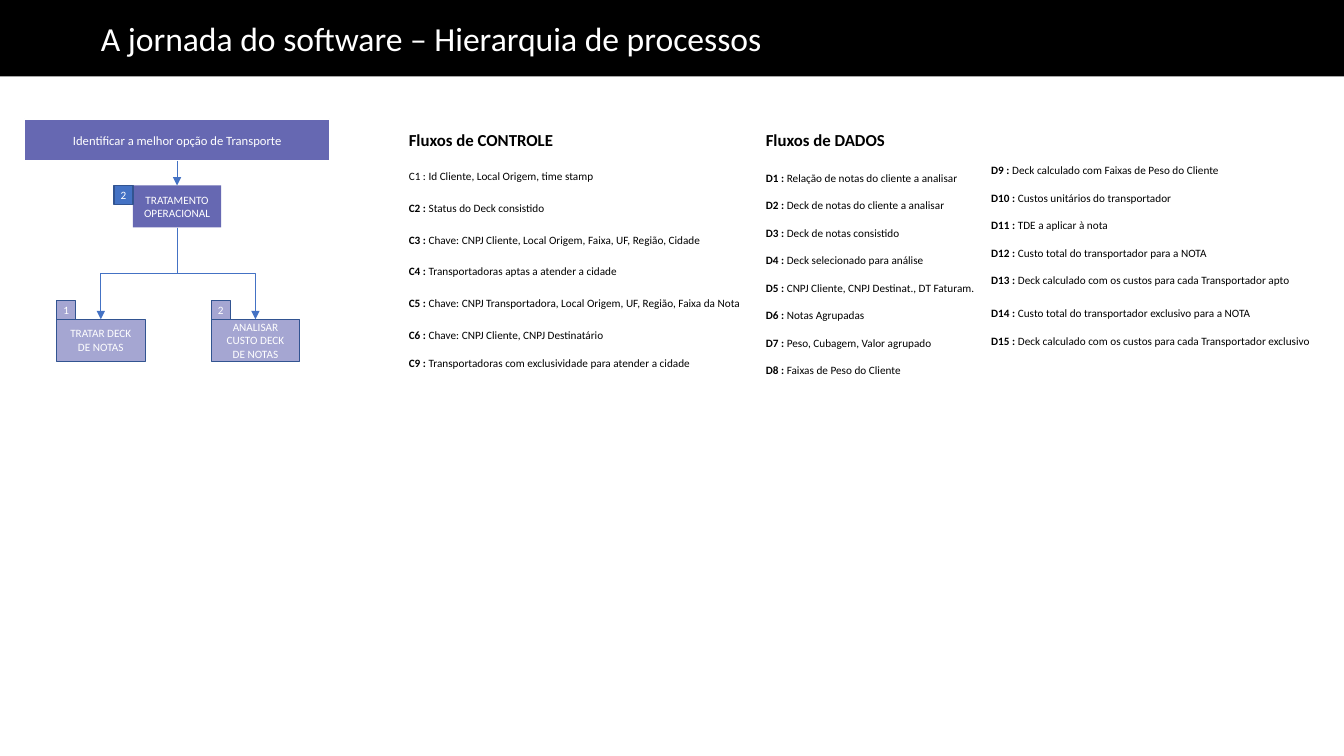
from dataclasses import dataclass

from lxml.etree import SubElement
from pptx import Presentation
from pptx.dml.color import RGBColor
from pptx.enum.shapes import MSO_CONNECTOR, MSO_SHAPE
from pptx.enum.text import MSO_ANCHOR, MSO_AUTO_SIZE, PP_ALIGN
from pptx.oxml.ns import qn
from pptx.util import Pt

HEADLINE = "A jornada do software – Hierarquia de processos"
CONTROL_FLOWS = [
    ("C1 :", "Id Cliente, Local Origem, time stamp"),
    ("C2 :", "Status do Deck consistido"),
    ("C3 :", "Chave: CNPJ Cliente, Local Origem, Faixa, UF, Região, Cidade"),
    ("C4 :", "Transportadoras aptas a atender a cidade"),
    ("C5 :", "Chave: CNPJ Transportadora, Local Origem, UF, Região, Faixa da Nota"),
    ("C6 :", "Chave: CNPJ Cliente, CNPJ Destinatário"),
    ("C9 :", "Transportadoras com exclusividade para atender a cidade"),
]
DATA_FLOWS = [
    ("D1 :", "Relação de notas do cliente a analisar"),
    ("D2 :", "Deck de notas do cliente a analisar"),
    ("D3 :", "Deck de notas consistido"),
    ("D4 :", "Deck selecionado para análise"),
    ("D5 :", "CNPJ Cliente, CNPJ Destinat., DT Faturam."),
    ("D6 :", "Notas Agrupadas"),
    ("D7 :", "Peso, Cubagem, Valor agrupado"),
    ("D8 :", "Faixas de Peso do Cliente"),
]
COST_FLOWS = [
    ("D9 :", "Deck calculado com Faixas de Peso do Cliente"),
    ("D10 :", "Custos unitários do transportador"),
    ("D11 :", "TDE a aplicar à nota"),
    ("D12 :", "Custo total do transportador para a NOTA"),
    ("D13 :", "Deck calculado com os custos para cada Transportador apto"),
    ("D14 :", "Custo total do transportador exclusivo para a NOTA"),
    ("D15 :", "Deck calculado com os custos para cada Transportador exclusivo"),
]
PLAIN_CODES = {"C1 :"}
SPECIAL_PITCH = {"C9 :": 20, "D14 :": 24}
GOAL = "Identificar a melhor opção de Transporte"
OPERATION = ("2", ["TRATAMENTO", "OPERACIONAL"])
STEPS = [("1", ["TRATAR DECK DE NOTAS"]), ("2", ["ANALISAR CUSTO DECK DE NOTAS"])]


@dataclass(frozen=True)
class Theme:
    font: str = "Calibri"
    black: str = "000000"
    white: str = "FFFFFF"
    violet: str = "6668B2"
    lilac: str = "A5A6D2"
    blue: str = "4472C4"
    navy: str = "325491"
    title: int = 24
    heading: int = 12
    goal: int = 9
    small: int = 8


THEME = Theme()
LINE_HEIGHT = 9.8
STEP_W, STEP_H, BADGE = 63, 30, 13.5
CENTER = 126.5


def color(value):
    return RGBColor.from_string(value)


def write(holder, paragraphs, size=THEME.small, ink=THEME.black, align=PP_ALIGN.LEFT,
          anchor=MSO_ANCHOR.TOP, insets=(0, 0), pitches=None):
    frame = holder.text_frame
    frame.word_wrap = True
    frame.auto_size = MSO_AUTO_SIZE.NONE
    frame.vertical_anchor = anchor
    frame.margin_left, frame.margin_right = (Pt(inset) for inset in insets)
    frame.margin_top = frame.margin_bottom = 0
    for index, runs in enumerate(paragraphs):
        paragraph = frame.paragraphs[0] if index == 0 else frame.add_paragraph()
        paragraph.alignment = align
        paragraph.space_before = Pt(pitches[index] - LINE_HEIGHT if pitches and index else 0)
        paragraph.space_after = Pt(0)
        properties = paragraph._p.get_or_add_pPr()
        properties.set("marL", "0")
        properties.set("indent", "0")
        SubElement(properties, qn("a:buNone"))
        for words, bold in runs:
            run = paragraph.add_run()
            run.text = words
            run.font.name, run.font.size, run.font.bold = THEME.font, Pt(size), bold
            run.font.color.rgb = color(ink)


def place(holder, left, top, width, height):
    holder.left, holder.top, holder.width, holder.height = map(Pt, (left, top, width, height))
    return holder


def list_flows(holder, flows, pitch):
    lines = [[(code, code not in PLAIN_CODES), (f" {words}", False)] for code, words in flows]
    write(holder, lines, pitches=[SPECIAL_PITCH.get(code, pitch) for code, _ in flows])


def add_box(shapes, left, top, width, height, lines, fill, border=None, weight=0.5,
            size=THEME.small, inset=0):
    box = shapes.add_shape(MSO_SHAPE.RECTANGLE, *map(Pt, (left, top, width, height)))
    box.shadow.inherit = False
    box.fill.solid()
    box.fill.fore_color.rgb = color(fill)
    if border:
        box.line.color.rgb = color(border)
        box.line.width = Pt(weight)
    else:
        box.line.fill.background()
    write(box, [[(line, False)] for line in lines], size=size, ink=THEME.white,
          align=PP_ALIGN.CENTER, anchor=MSO_ANCHOR.MIDDLE, insets=(inset, inset))
    return box


def link(shapes, parent, child):
    start_x, start_y = parent.left + parent.width // 2, parent.top + parent.height
    end_x, end_y = child.left + child.width // 2, child.top
    across, down = end_x - start_x, end_y - start_y
    kind = MSO_CONNECTOR.ELBOW if across else MSO_CONNECTOR.STRAIGHT
    arrow = shapes.add_connector(kind, start_x, start_y, end_x, end_y)
    arrow.begin_connect(parent, 2)
    arrow.end_connect(child, 0)
    properties = arrow._element.spPr
    if across:
        arrow.width, arrow.height = down, abs(across)
        arrow.left = (start_x + end_x - down) // 2
        arrow.top = (start_y + end_y - abs(across)) // 2
        frame = properties.find(qn("a:xfrm"))
        frame.set("rot", "16200000" if across > 0 else "5400000")
        frame.set("flipH", "1" if across > 0 else "0")
    arrow.line.color.rgb = color(THEME.blue)
    arrow.line.width = Pt(0.5)
    SubElement(properties.find(qn("a:ln")), qn("a:tailEnd"), type="triangle")
    SubElement(properties, qn("a:effectLst"))


def add_hierarchy(shapes):
    goal = add_box(shapes, CENTER - 109, 85, 218, 30, [GOAL], THEME.violet,
                   border=THEME.white, weight=1, size=THEME.goal)
    number, lines = OPERATION
    left, top = CENTER - STEP_W / 2, 132.5
    operation = add_box(shapes, left, top, STEP_W, STEP_H, lines, THEME.violet, inset=6)
    add_box(shapes, left - BADGE, top, BADGE, BADGE, [number], THEME.blue,
            border=THEME.navy, weight=1)
    link(shapes, goal, operation)
    for index, (number, lines) in enumerate(STEPS):
        left, top = 40.5 + index * 110.5, 228
        step = add_box(shapes, left, top, STEP_W, STEP_H, lines, THEME.lilac,
                       border=THEME.navy, inset=6)
        add_box(shapes, left, top - BADGE, BADGE, BADGE, [number], THEME.lilac,
                border=THEME.navy)
        link(shapes, operation, step)


def main():
    deck = Presentation()
    deck.slide_width, deck.slide_height = Pt(960), Pt(540)
    slide = deck.slides.add_slide(deck.slide_layouts[4])
    headline, control_head, control, data_head, data = slide.placeholders

    place(headline, 0, 0, 960, 54.5)
    headline.fill.solid()
    headline.fill.fore_color.rgb = color(THEME.black)
    write(headline, [[(HEADLINE, False)]], size=THEME.title, ink=THEME.white,
          anchor=MSO_ANCHOR.MIDDLE, insets=(72, 7))

    for heading, words, left in [(control_head, "Fluxos de CONTROLE", 292),
                                 (data_head, "Fluxos de DADOS", 547)]:
        write(place(heading, left, 93, 240, 15), [[(words, True)]], size=THEME.heading)

    list_flows(place(control, 292, 121, 250, 150), CONTROL_FLOWS, 22.9)
    list_flows(place(data, 547, 122.3, 158, 152), DATA_FLOWS, 19.85)
    costs = slide.shapes.add_textbox(*map(Pt, (708, 116.8, 252, 140)))
    list_flows(costs, COST_FLOWS, 19.85)

    add_hierarchy(slide.shapes)
    deck.save("out.pptx")


if __name__ == "__main__":
    main()
